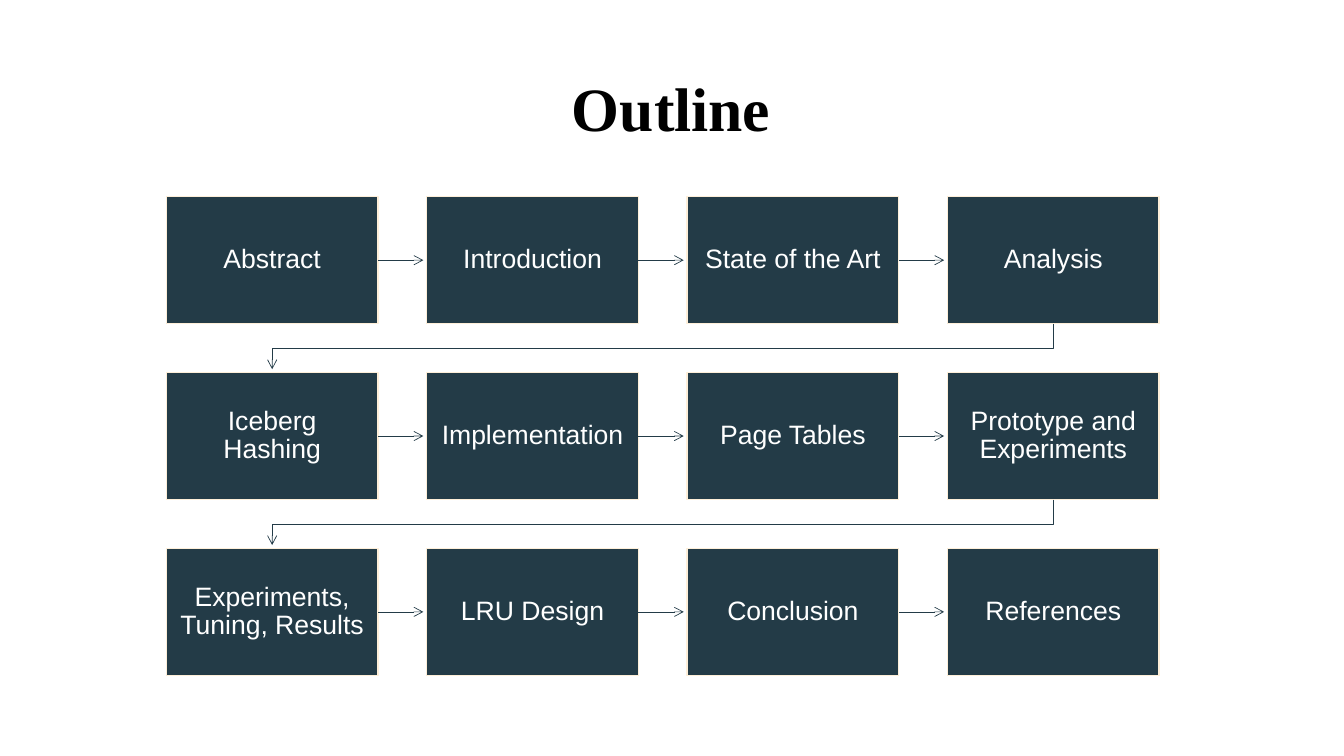
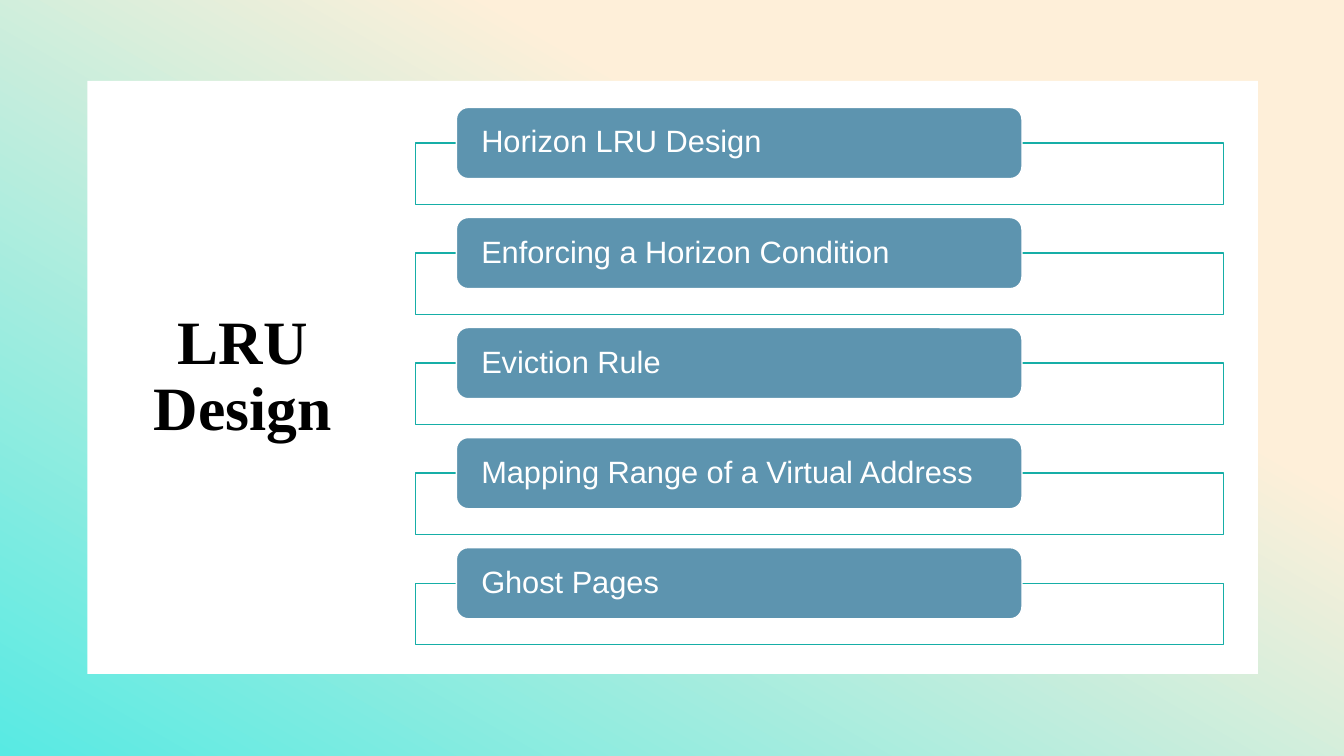
from lxml.etree import SubElement
from pptx import Presentation
from pptx.dml.color import RGBColor
from pptx.enum.shapes import MSO_CONNECTOR, MSO_SHAPE
from pptx.enum.text import MSO_ANCHOR, PP_ALIGN
from pptx.oxml.ns import qn
from pptx.util import Pt

# Content
OUTLINE_TITLE = "Outline"
OUTLINE_ROWS = [
    ["Abstract", "Introduction", "State of the Art", "Analysis"],
    ["Iceberg Hashing", "Implementation", "Page Tables", "Prototype and Experiments"],
    ["Experiments, Tuning, Results", "LRU Design", "Conclusion", "References"],
]
DESIGN_TITLE = "LRU Design"
DESIGN_TOPICS = [
    "Horizon LRU Design",
    "Enforcing a Horizon Condition",
    "Eviction Rule",
    "Mapping Range of a Virtual Address",
    "Ghost Pages",
]

# Shared style
COLORS = {
    "title": "000000",
    "white": "FFFFFF",
    "navy": "233B47",
    "cream": "FEEFD9",
    "aqua": "58EAE3",
    "teal": "16AEA7",
    "blue": "5D94AF",
}
TITLE_FONT, BODY_FONT = "Times New Roman", "Arial"
SLIDE_WIDTH, SLIDE_HEIGHT = 960, 540

# Outline grid
BOX_LEFT, BOX_TOP, BOX_WIDTH, BOX_HEIGHT = 118.8, 140.5, 151.2, 90.7
COLUMN_STEP, ROW_STEP = 186, 125.6
ARROW_GAP = 2.4

# Topic list
FRAME_LEFT, FRAME_TOP, FRAME_WIDTH, FRAME_HEIGHT = 296.6, 102.2, 577.4, 44
TAB_LEFT, TAB_WIDTH, TAB_HEIGHT = 326, 404, 50.8
TOPIC_STEP = 78.6


def rgb(name):
    return RGBColor.from_string(COLORS[name])


def add_box(slide, kind, left, top, width, height, fill=None, line=None):
    shape = slide.shapes.add_shape(kind, Pt(left), Pt(top), Pt(width), Pt(height))
    shape.shadow.inherit = False
    if fill:
        shape.fill.solid()
        shape.fill.fore_color.rgb = rgb(fill)
    if line:
        shape.line.color.rgb = rgb(line)
        shape.line.width = Pt(1)
    else:
        shape.line.fill.background()
    return shape


def set_text(shape, text, size, font, color, align, margin=7.2, bold=False):
    frame = shape.text_frame
    frame.word_wrap = True
    frame.vertical_anchor = MSO_ANCHOR.MIDDLE
    frame.margin_left = frame.margin_right = Pt(margin)
    paragraph = frame.paragraphs[0]
    paragraph.alignment = align
    paragraph.line_spacing = 0.9
    run = paragraph.add_run()
    run.text = text
    run.font.size = Pt(size)
    run.font.name = font
    run.font.bold = bold
    run.font.color.rgb = rgb(color)


def add_title(slide, text, left, top, width, height):
    box = slide.shapes.add_textbox(Pt(left), Pt(top), Pt(width), Pt(height))
    set_text(box, text, 44, TITLE_FONT, "title", PP_ALIGN.CENTER, bold=True)


def style_arrow(shape):
    shape.line.color.rgb = rgb("navy")
    shape.line.width = Pt(0.5)
    SubElement(shape.line._get_or_add_ln(), qn("a:tailEnd"), type="arrow")


def add_straight_arrow(slide, box, left, middle, length):
    arrow = slide.shapes.add_connector(
        MSO_CONNECTOR.STRAIGHT, Pt(left), Pt(middle), Pt(left + length), Pt(middle))
    arrow.begin_connect(box, 3)
    style_arrow(arrow)
    SubElement(arrow._element.spPr, qn("a:effectLst"))


def add_return_arrow(slide, start_x, end_x, top, height):
    turn = top + (height + ARROW_GAP) / 2
    builder = slide.shapes.build_freeform(Pt(start_x), Pt(top))
    corners = [(start_x, turn), (end_x, turn), (end_x, top + height)]
    builder.add_line_segments([(Pt(x), Pt(y)) for x, y in corners], close=False)
    arrow = builder.convert_to_shape()
    arrow.fill.background()
    style_arrow(arrow)
    arrow.shadow.inherit = False


def build_outline(slide):
    add_title(slide, OUTLINE_TITLE, 84.2, 24.5, 790.6, 110.2)
    for row, labels in enumerate(OUTLINE_ROWS):
        top = BOX_TOP + row * ROW_STEP
        for column, label in enumerate(labels):
            left = BOX_LEFT + column * COLUMN_STEP
            box = add_box(slide, MSO_SHAPE.RECTANGLE, left, top, BOX_WIDTH, BOX_HEIGHT,
                          "navy", "cream")
            set_text(box, label, 19, BODY_FONT, "white", PP_ALIGN.CENTER, 7.4)
            if column < len(labels) - 1:
                add_straight_arrow(slide, box, left + BOX_WIDTH, top + BOX_HEIGHT / 2,
                                   COLUMN_STEP - BOX_WIDTH - ARROW_GAP)
            elif row < len(OUTLINE_ROWS) - 1:
                add_return_arrow(slide, left + BOX_WIDTH / 2, BOX_LEFT + BOX_WIDTH / 2,
                                 top + BOX_HEIGHT, ROW_STEP - BOX_HEIGHT - ARROW_GAP)


def build_design(slide):
    # Gradient backdrop and white panel
    backdrop = add_box(slide, MSO_SHAPE.RECTANGLE, 0, 0, SLIDE_WIDTH, SLIDE_HEIGHT)
    backdrop.fill.gradient()
    backdrop.fill.gradient_angle = 240
    stops = [("cream", 0.32), ("aqua", 1)]
    for stop, (color, position) in zip(backdrop.fill.gradient_stops, stops):
        stop.color.rgb = rgb(color)
        stop.position = position
    add_box(slide, MSO_SHAPE.RECTANGLE, 62.4, 57.8, 836.2, 423.6, "white")
    add_title(slide, DESIGN_TITLE, 68.4, 162, 210.2, 215.3)

    # Each topic is a tab centred on the top edge of its frame
    for index, topic in enumerate(DESIGN_TOPICS):
        top = FRAME_TOP + index * TOPIC_STEP
        add_box(slide, MSO_SHAPE.RECTANGLE, FRAME_LEFT, top, FRAME_WIDTH, FRAME_HEIGHT,
                "white", "teal")
        tab = add_box(slide, MSO_SHAPE.ROUNDED_RECTANGLE, TAB_LEFT, top - TAB_HEIGHT / 2,
                      TAB_WIDTH, TAB_HEIGHT, "blue", "white")
        set_text(tab, topic, 22, BODY_FONT, "white", PP_ALIGN.LEFT, 15.3)


def main():
    presentation = Presentation()
    presentation.slide_width = Pt(SLIDE_WIDTH)
    presentation.slide_height = Pt(SLIDE_HEIGHT)
    for build in (build_outline, build_design):
        build(presentation.slides.add_slide(presentation.slide_layouts[6]))
    presentation.save("out.pptx")


if __name__ == "__main__":
    main()
